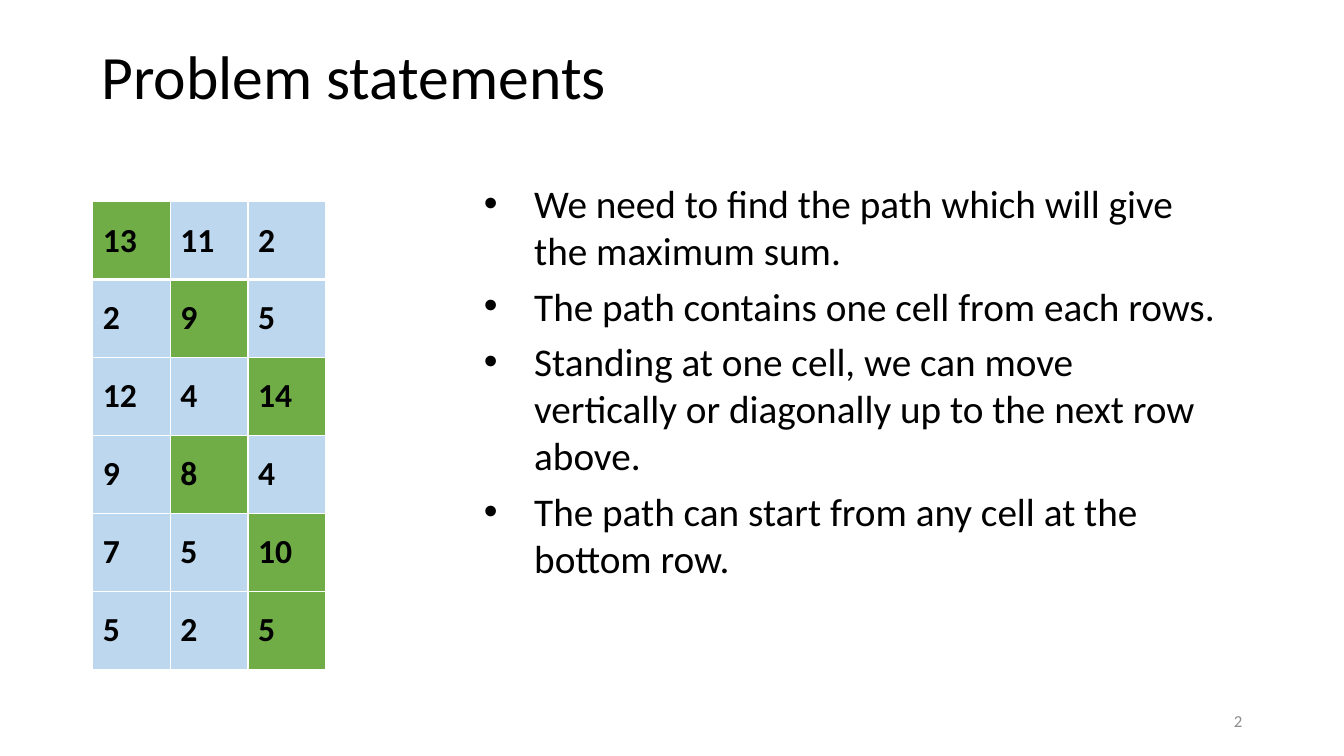
from dataclasses import dataclass

from lxml import etree
from pptx import Presentation
from pptx import util as u
from pptx.dml.color import RGBColor
from pptx.enum import text
from pptx.oxml import ns


@dataclass(frozen=True)
class Theme:
    font: str = "Calibri"
    ink: str = "000000"
    muted: str = "8C8C8C"
    cell: str = "BDD7EE"
    path_cell: str = "70AD47"
    border: str = "FFFFFF"
    title_size: int = 44
    body_size: int = 28
    cell_size: int = 24
    number_size: int = 12


THEME = Theme()

GRID = [
    [13, 11, 2],
    [2, 9, 5],
    [12, 4, 14],
    [9, 8, 4],
    [7, 5, 10],
    [5, 2, 5],
]
PATH_COLUMNS = [0, 1, 2, 1, 2, 2]  # column of the chosen cell in each row

STATEMENTS = [
    "We need to find the path which will give the maximum sum.",
    "The path contains one cell from each rows.",
    "Standing at one cell, we can move vertically or diagonally up to the next row above.",
    "The path can start from any cell at the bottom row.",
]


def write(para, words, size, color=THEME.ink, bold=False, **para_format):
    for name, value in para_format.items():
        setattr(para, name, value)
    span = para.add_run()
    span.text = words
    font_format = {"name": THEME.font, "size": u.Pt(size), "bold": bold}
    for name, value in font_format.items():
        setattr(span.font, name, value)
    span.font.color.rgb = RGBColor.from_string(color)


def add_frame(page, box, anchor):
    """Add a wrapping text box and return its text frame."""
    frame = page.shapes.add_textbox(*map(u.Inches, box)).text_frame
    frame.word_wrap = True
    frame.vertical_anchor = anchor
    return frame


def add_title(page, box):
    frame = add_frame(page, box, text.MSO_ANCHOR.MIDDLE)
    write(frame.paragraphs[0], "Problem statements", THEME.title_size, line_spacing=0.9)


def add_bullet(para, indent):
    """Give the paragraph a hanging bullet."""
    properties = para._p.get_or_add_pPr()
    properties.set("marL", str(u.Inches(indent)))
    properties.set("indent", str(-u.Inches(indent)))
    etree.SubElement(properties, ns.qn("a:buFont"), typeface="Arial")
    etree.SubElement(properties, ns.qn("a:buChar"), char="•")


def add_statements(page, box):
    frame = add_frame(page, box, text.MSO_ANCHOR.TOP)
    for index, statement in enumerate(STATEMENTS):
        para = frame.add_paragraph() if index else frame.paragraphs[0]
        write(para, statement, THEME.body_size, space_after=u.Pt(6))
        add_bullet(para, 0.5)


def set_borders(cell, widths):
    """Draw the cell's sides; widths maps L, R, T, B to points."""
    properties = cell._tc.get_or_add_tcPr()
    for index, (side, width) in enumerate(widths.items()):
        line = etree.Element(ns.qn(f"a:ln{side}"), w=str(u.Pt(width)))
        fill = etree.SubElement(line, ns.qn("a:solidFill"))
        etree.SubElement(fill, ns.qn("a:srgbClr"), val=THEME.border)
        properties.insert(index, line)


def add_grid(page, box):
    left, top, width, height = map(u.Inches, box)
    table = page.shapes.add_table(len(GRID), len(GRID[0]), left, top, width, height).table
    for row, values in enumerate(GRID):
        for column, value in enumerate(values):
            cell = table.cell(row, column)
            on_path = column == PATH_COLUMNS[row]
            cell.vertical_anchor = text.MSO_ANCHOR.MIDDLE
            cell.fill.solid()
            cell.fill.fore_color.rgb = RGBColor.from_string(
                THEME.path_cell if on_path else THEME.cell)
            write(cell.text_frame.paragraphs[0], str(value), THEME.cell_size, bold=True)
            set_borders(cell, {"L": 1, "R": 1,
                               "T": 3 if row == 1 else 1,
                               "B": 3 if row == 0 else 1})


def add_page_number(page, box):
    frame = add_frame(page, box, text.MSO_ANCHOR.MIDDLE)
    write(frame.paragraphs[0], "2", THEME.number_size, THEME.muted,
          alignment=text.PP_ALIGN.RIGHT)


def main():
    deck = Presentation()
    deck.slide_width = u.Inches(13.33)
    deck.slide_height = u.Inches(7.5)
    page = deck.slides.add_slide(deck.slide_layouts[6])
    add_title(page, (0.91, 0.4, 11.51, 0.78))
    add_statements(page, (4.7, 1.73, 7.52, 4.76))
    add_grid(page, (0.92, 2, 2.31, 4.64))
    add_page_number(page, (9.42, 6.95, 3, 0.4))
    deck.save("out.pptx")


if __name__ == "__main__":
    main()
